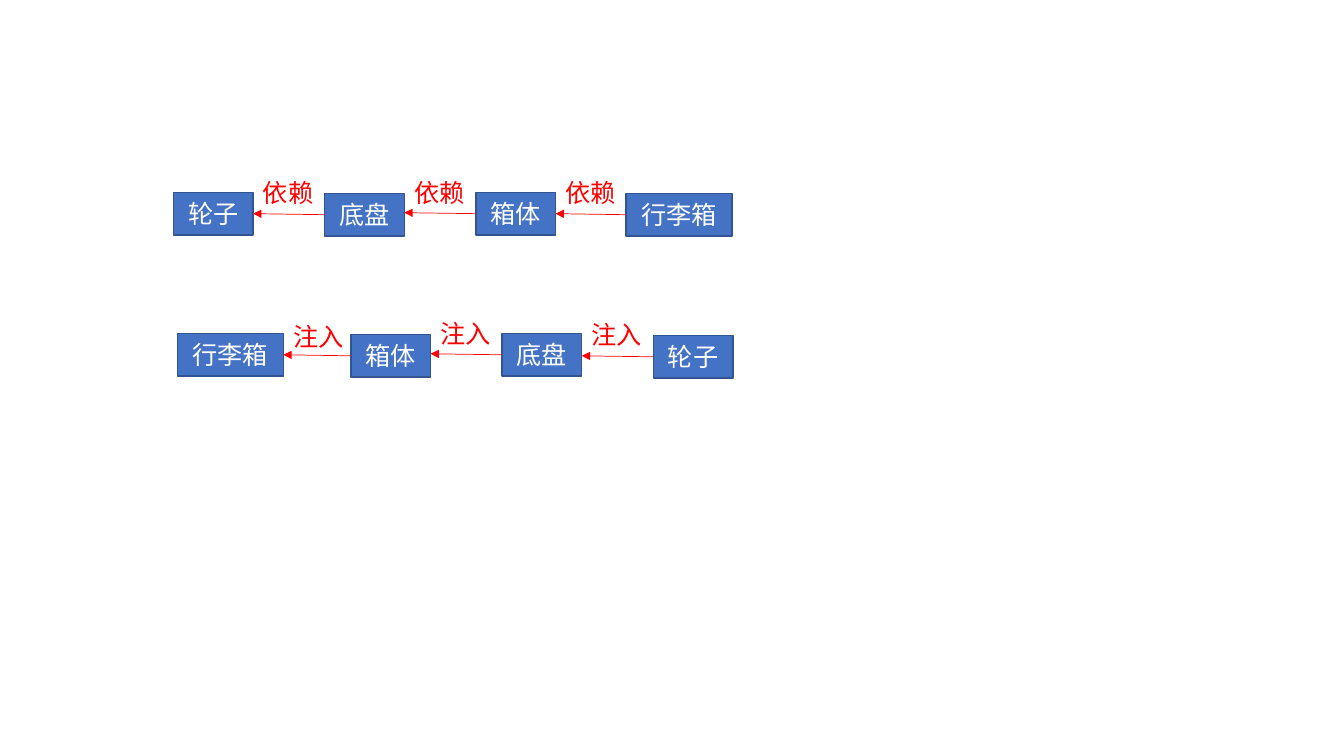
"""Draw two chains of luggage boxes: dependency and injection."""
from dataclasses import dataclass
from itertools import pairwise

from lxml import etree
from pptx import Presentation
from pptx.dml.color import RGBColor
from pptx.enum import shapes, text
from pptx.oxml import ns
from pptx.util import Inches, Pt


@dataclass(frozen=True)
class Theme:
    fill: str = "4472C4"
    edge: str = "325491"
    light: str = "FFFFFF"
    accent: str = "FF0000"
    font: str = "Noto Sans CJK SC"
    size: float = 18
    border: float = 1
    thin: float = 0.5


@dataclass(frozen=True)
class Item:
    name: str
    left: float
    top: float
    width: float = 0.79
    height: float = 0.42

    @property
    def right(self) -> float:
        return self.left + self.width

    @property
    def middle(self) -> float:
        return self.top + self.height / 2


@dataclass(frozen=True)
class Chain:
    label: str
    tops: tuple[float, ...]
    items: tuple[Item, ...]


THEME = Theme()
LABEL_WIDTH, LABEL_HEIGHT = 0.71, 0.4
RISE = 0.01
CHAINS = (
    Chain("依赖", (1.71, 1.71, 1.71), (
        Item("轮子", 1.72, 1.91),
        Item("底盘", 3.22, 1.92),
        Item("箱体", 4.72, 1.91),
        Item("行李箱", 6.21, 1.92, width=1.05),
    )),
    Chain("注入", (3.14, 3.11, 3.12), (
        Item("行李箱", 1.76, 3.31, width=1.05),
        Item("箱体", 3.48, 3.32),
        Item("底盘", 4.98, 3.31),
        Item("轮子", 6.48, 3.33),
    )),
)


def write(frame, words: str, *, color: str, align=text.PP_ALIGN.LEFT,
          anchor=text.MSO_ANCHOR.TOP, wrap: bool = True) -> None:
    frame.word_wrap = wrap
    frame.vertical_anchor = anchor
    line = frame.paragraphs[0]
    line.alignment = align
    run = line.add_run()
    run.text = words
    run.font.name = THEME.font
    run.font.size = Pt(THEME.size)
    run.font.color.rgb = RGBColor.from_string(color)
    etree.SubElement(run._r.get_or_add_rPr(), ns.qn("a:ea"), typeface=THEME.font)


def draw_item(slide, item: Item) -> None:
    box = slide.shapes.add_shape(
        shapes.MSO_SHAPE.RECTANGLE, Inches(item.left), Inches(item.top),
        Inches(item.width), Inches(item.height))
    box.shadow.inherit = False
    box.fill.solid()
    box.fill.fore_color.rgb = RGBColor.from_string(THEME.fill)
    box.line.color.rgb = RGBColor.from_string(THEME.edge)
    box.line.width = Pt(THEME.border)
    write(box.text_frame, item.name, color=THEME.light,
          align=text.PP_ALIGN.CENTER, anchor=text.MSO_ANCHOR.MIDDLE)


def draw_arrow(slide, start: Item, end: Item) -> None:
    arrow = slide.shapes.add_connector(
        shapes.MSO_CONNECTOR.STRAIGHT, Inches(start.left), Inches(start.middle),
        Inches(end.right), Inches(start.middle - RISE))
    arrow.line.color.rgb = RGBColor.from_string(THEME.accent)
    arrow.line.width = Pt(THEME.thin)
    etree.SubElement(arrow.get_or_add_ln(), ns.qn("a:tailEnd"), type="triangle")
    etree.SubElement(arrow._element.spPr, ns.qn("a:effectLst"))


def draw_label(slide, words: str, left: float, top: float) -> None:
    label = slide.shapes.add_textbox(
        Inches(left), Inches(top), Inches(LABEL_WIDTH), Inches(LABEL_HEIGHT))
    write(label.text_frame, words, color=THEME.accent, wrap=False)
    label.text_frame.auto_size = text.MSO_AUTO_SIZE.SHAPE_TO_FIT_TEXT


def draw_chain(slide, chain: Chain) -> None:
    for item in chain.items:
        draw_item(slide, item)
    for (end, start), top in zip(pairwise(chain.items), chain.tops):
        draw_arrow(slide, start, end)
        draw_label(slide, chain.label, end.right, top)


def main() -> None:
    deck = Presentation()
    deck.slide_width, deck.slide_height = Inches(13.33), Inches(7.5)
    slide = deck.slides.add_slide(deck.slide_layouts[6])
    for chain in CHAINS:
        draw_chain(slide, chain)
    deck.save("out.pptx")


main()
